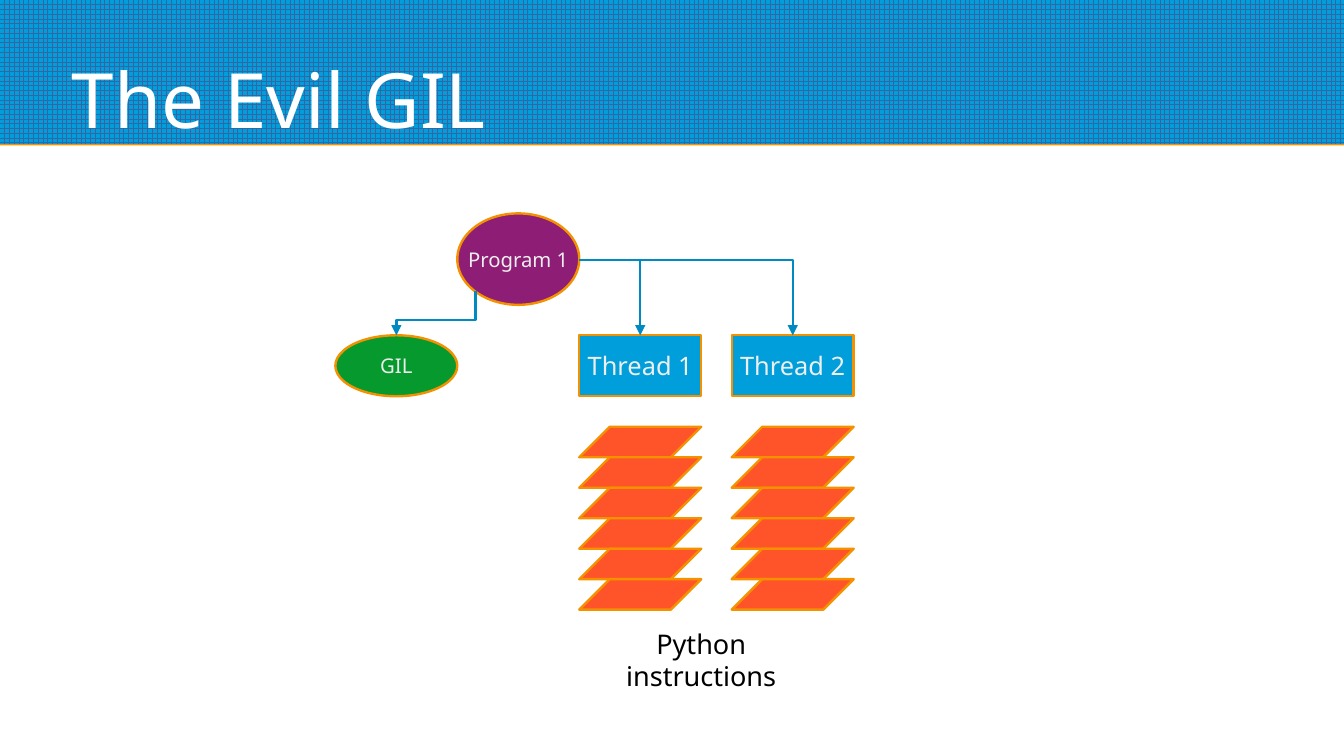
import pptx
import pptx.util
import pptx.dml.color
import pptx.enum.dml
import pptx.enum.shapes
import pptx.enum.text
import pptx.oxml
import pptx.oxml.ns
import lxml.etree

Inches = pptx.util.Inches
Pt = pptx.util.Pt
SHAPE = pptx.enum.shapes.MSO_SHAPE
ALIGN = pptx.enum.text.PP_ALIGN
ANCHOR = pptx.enum.text.MSO_ANCHOR

FONT = "Noto Sans"
BLUE, ORANGE, ARROW_BLUE = "009EDA", "F49100", "008AC2"
PURPLE, GREEN, RED, PALE = "8D1D75", "069A2E", "FF5429", "EEEEEE"
LINE_WIDTH = 1.42


def color(value):
    return pptx.dml.color.RGBColor.from_string(value)


def add_xml(parent, tag, **attributes):
    child = lxml.etree.SubElement(parent, pptx.oxml.ns.qn(tag))
    for name, value in attributes.items():
        child.set(name, str(value))
    return child


def write_text(shape, text, size=12, ink=PALE, align=ALIGN.CENTER,
               anchor=ANCHOR.MIDDLE, wrap=False, inset=0.04):
    frame = shape.text_frame
    frame.word_wrap = wrap
    frame.vertical_anchor = anchor
    frame.margin_left = frame.margin_right = Inches(inset)
    frame.margin_top = frame.margin_bottom = Inches(inset)
    para = frame.paragraphs[0]
    para.alignment = align
    span = para.add_run()
    span.text = text
    span.font.name = FONT
    span.font.size = Pt(size)
    span.font.color.rgb = color(ink)


def add_label(page, box, text, **text_format):
    label = page.shapes.add_textbox(*map(Inches, box))
    write_text(label, text, wrap=True, **text_format)


def add_node(page, kind, box, fill, text=None, size=12):
    node = page.shapes.add_shape(kind, *map(Inches, box))
    node.shadow.inherit = False
    node.fill.solid()
    node.fill.fore_color.rgb = color(fill)
    node.line.color.rgb = color(ORANGE)
    node.line.width = Pt(LINE_WIDTH)
    if text:
        write_text(node, text, size=size)
    return node


def add_arrow(page, start, end, preset):
    arrow = page.shapes.add_connector(
        pptx.enum.shapes.MSO_CONNECTOR.ELBOW, *map(Inches, start + end))
    arrow.line.color.rgb = color(ARROW_BLUE)
    arrow.line.width = Pt(LINE_WIDTH)
    add_xml(arrow.line._get_or_add_ln(), "a:tailEnd", type="triangle")
    properties = arrow._element.spPr
    add_xml(properties, "a:effectLst")
    properties.find(pptx.oxml.ns.qn("a:prstGeom")).set("prst", preset)
    return arrow


def add_corner_arrow(page, start, end):
    """Runs across, then down."""
    add_arrow(page, start, end, "bentConnector2")


def add_step_arrow(page, start, end, bend):
    """Runs down, left, then down: a quarter-turned elbow."""
    middle_x, middle_y = (start[0] + end[0]) / 2, (start[1] + end[1]) / 2
    half_run, half_drop = (start[0] - end[0]) / 2, (end[1] - start[1]) / 2
    arrow = add_arrow(page, (middle_x - half_drop, middle_y - half_run),
                      (middle_x + half_drop, middle_y + half_run),
                      "bentConnector3")
    properties = arrow._element.spPr
    properties.find(pptx.oxml.ns.qn("a:xfrm")).set("rot", "5400000")
    geometry = properties.find(pptx.oxml.ns.qn("a:prstGeom"))
    guides = geometry.find(pptx.oxml.ns.qn("a:avLst"))
    if guides is None:
        guides = add_xml(geometry, "a:avLst")
    add_xml(guides, "a:gd", name="adj1", fmla=f"val {round(bend * 100000)}")


def add_header(page, box, title):
    left, top, width, height = box
    band = page.shapes.add_shape(SHAPE.RECTANGLE, *map(Inches, box))
    band.line.fill.background()
    band.fill.patterned()
    band.fill.pattern = pptx.enum.dml.MSO_PATTERN.LARGE_GRID
    band.fill.fore_color.rgb = color("3465A4")
    band.fill.back_color.rgb = color(BLUE)
    # Thin orange edge under the band
    band.shadow.inherit = False
    effects = band._element.spPr.find(pptx.oxml.ns.qn("a:effectLst"))
    shadow = add_xml(effects, "a:outerShdw", blurRad=0, dist=Pt(0.9),
                     dir=5400000, algn="ctr", rotWithShape=0)
    add_xml(shadow, "a:srgbClr", val=ORANGE)
    add_label(page, (left + 0.59, top + 0.1, width - 1.18, height - 0.1),
              title, size=45, ink="FFFFFF", align=ALIGN.LEFT,
              anchor=ANCHOR.BOTTOM, inset=0)


def add_thread(page, box, name, instructions=6):
    left, top, width, height = box
    add_node(page, SHAPE.RECTANGLE, (left, top, width, 0.5), BLUE, name, 15)
    # Stack of instructions under the thread
    step = 0.25
    first = top + height - instructions * step
    for index in range(instructions):
        slab = add_node(page, SHAPE.PARALLELOGRAM,
                        (left, first + index * step, width, step), RED)
        slab.adjustments[0] = 1


def add_diagram(page, box):
    left, top, width, height = box
    lower = top + 1
    threads_left, thread_width, pitch = left + 2, 1, 1.25
    program_right, program_middle = left + 2, top + 0.38

    # Program and its lock
    add_node(page, SHAPE.OVAL, (left + 1, top, 1, 0.75), PURPLE, "Program 1")
    add_node(page, SHAPE.OVAL, (left, lower, 1, 0.5), GREEN, "GIL")
    add_step_arrow(page, (left + 1.15, top + 0.64), (left + 0.5, lower), 0.65)

    # Threads
    for index in range(2):
        thread_left = threads_left + index * pitch
        add_thread(page, (thread_left, lower, thread_width, 2.25),
                   f"Thread {index + 1}")
        add_corner_arrow(page, (program_right, program_middle),
                         (thread_left + thread_width / 2, lower))

    # Caption
    add_label(page, (threads_left, top + height - 0.68, 2, 0.68),
              "Python instructions", size=16, ink="000000")


deck = pptx.Presentation()
deck.slide_width, deck.slide_height = Inches(11.02), Inches(6.2)
page = deck.slides.add_slide(deck.slide_layouts[6])
add_header(page, (0, 0, 11.02, 1.18), "The Evil GIL")
add_diagram(page, (2.75, 1.75, 4.25, 4))
deck.save("out.pptx")
